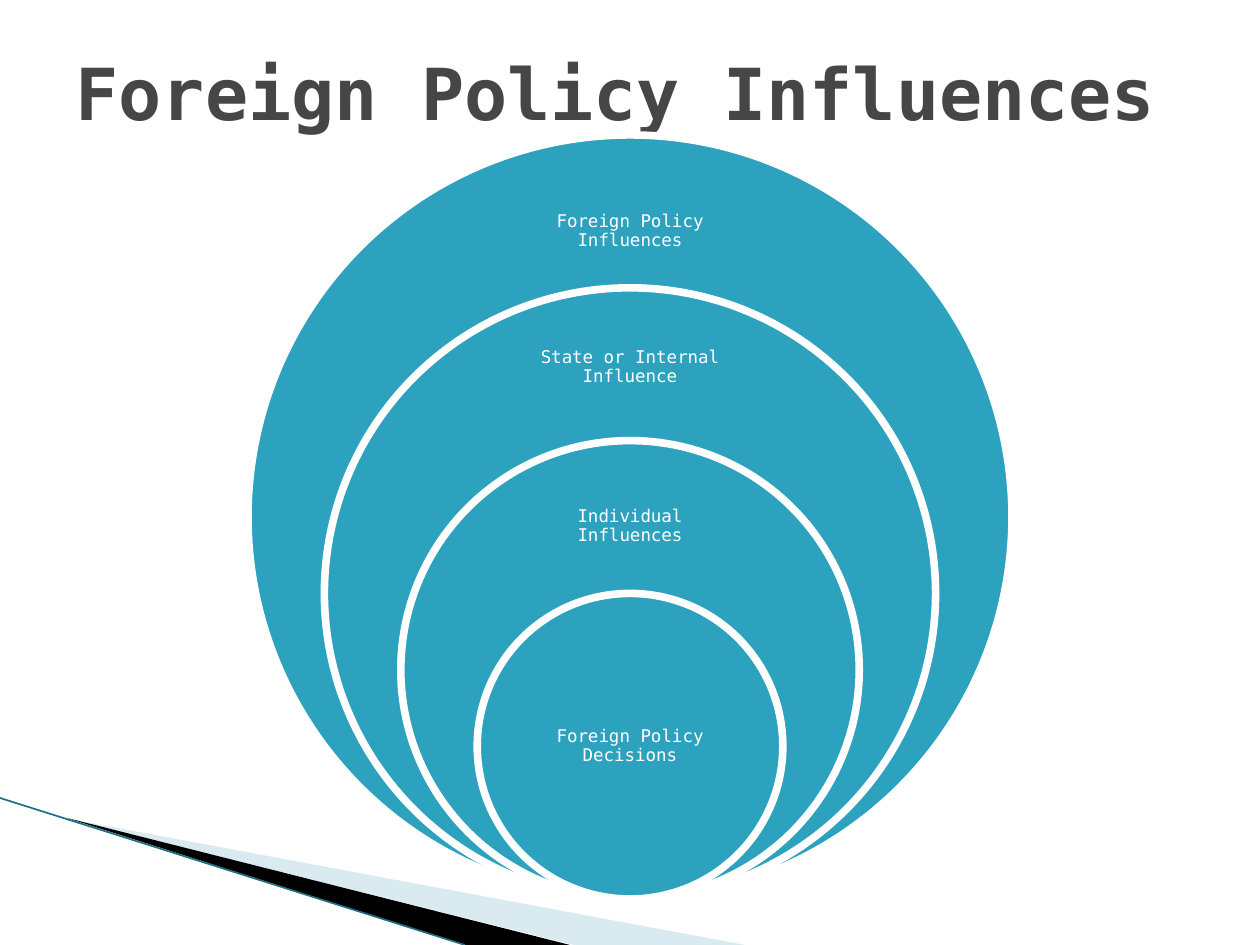
from lxml.etree import SubElement
from pptx import Presentation
from pptx.dml.color import RGBColor
from pptx.enum.shapes import MSO_CONNECTOR, MSO_SHAPE
from pptx.enum.text import MSO_ANCHOR, MSO_AUTO_SIZE, PP_ALIGN
from pptx.oxml.ns import qn
from pptx.util import Pt

# Content
TITLE = "Foreign Policy Influences"
RINGS = [  # label, vertical centre of label (px), outermost first
    ("Foreign Policy Influences", 231),
    ("State or Internal Influence", 367),
    ("Individual Influences", 526),
    ("Foreign Policy Decisions", 746),
]
WEDGES = [  # colour name, opacity in percent, corners (px)
    ("pale", 40, [(69, 819), (745, 945), (574, 945)]),
    ("black", 100, [(67, 818), (570, 945), (465, 945)]),
]
EDGE = (0, 798, 465, 945)

# Style
COLORS = {"ring": "2DA2BF", "white": "FFFFFF", "title": "464646",
          "pale": "A0CBDC", "black": "000000", "edge": "1F7085"}
FONT = "DejaVu Sans Mono"

# Layout, in px
SLIDE_W, SLIDE_H = 1260, 945
CENTRE_X, RINGS_BOTTOM, OUTER = SLIDE_W // 2, 899, 764
LABEL_W, LABEL_H, LABEL_INSET = 214, 110, 10
EMU_PER_PX = 914400 / 126


def px(*lengths):
    return [round(length * EMU_PER_PX) for length in lengths]


def color(name):
    return RGBColor.from_string(COLORS[name])


def style_text(paragraph, size, color_name, align, bold=False):
    paragraph.alignment = align
    font = paragraph.font
    font.name, font.size, font.bold = FONT, Pt(size), bold
    font.color.rgb = color(color_name)


def add_wedge(slide, color_name, opacity, corners):
    builder = slide.shapes.build_freeform(*corners[0], scale=EMU_PER_PX)
    builder.add_line_segments(corners[1:], close=True)
    wedge = builder.convert_to_shape()
    wedge.shadow.inherit = False
    wedge.fill.solid()
    wedge.fill.fore_color.rgb = color(color_name)
    wedge.line.fill.background()
    if opacity < 100:
        rgb = wedge.fill._xPr.find(".//" + qn("a:srgbClr"))
        SubElement(rgb, qn("a:alpha"), val=str(opacity * 1000))


def add_edge(slide):
    edge = slide.shapes.add_connector(MSO_CONNECTOR.STRAIGHT, *px(*EDGE))
    edge.line.color.rgb = color("edge")
    edge.line.width = Pt(0.95)
    SubElement(edge._element.spPr, qn("a:effectLst"))


def add_ring(slide, diameter):
    left, top = CENTRE_X - diameter / 2, RINGS_BOTTOM - diameter
    ring = slide.shapes.add_shape(
        MSO_SHAPE.OVAL, *px(left, top, diameter, diameter))
    ring.shadow.inherit = False
    ring.fill.solid()
    ring.fill.fore_color.rgb = color("ring")
    ring.line.color.rgb = color("white")
    ring.line.width = Pt(4.33)


def add_label(slide, text, centre_y):
    label = slide.shapes.add_textbox(*px(
        CENTRE_X - LABEL_W / 2, centre_y - LABEL_H / 2, LABEL_W, LABEL_H))
    frame = label.text_frame
    frame.word_wrap = True
    frame.vertical_anchor = MSO_ANCHOR.MIDDLE
    (frame.margin_left, frame.margin_top,
     frame.margin_right, frame.margin_bottom) = px(*[LABEL_INSET] * 4)
    frame.text = text
    paragraph = frame.paragraphs[0]
    style_text(paragraph, 10, "white", PP_ALIGN.CENTER)
    paragraph.line_spacing = 0.9


def main():
    prs = Presentation()
    prs.slide_width, prs.slide_height = px(SLIDE_W, SLIDE_H)
    slide = prs.slides.add_slide(prs.slide_layouts[5])

    # Corner decoration
    for wedge in WEDGES:
        add_wedge(slide, *wedge)
    add_edge(slide)

    # Title
    title = slide.shapes.title
    title.left, title.top, title.width, title.height = px(63, 38, 1134, 107)
    frame = title.text_frame
    frame.text = TITLE
    frame.auto_size = MSO_AUTO_SIZE.NONE
    frame.vertical_anchor = MSO_ANCHOR.MIDDLE
    style_text(frame.paragraphs[0], 41, "title", PP_ALIGN.LEFT, bold=True)

    # Nested rings sharing one bottom point, each a fifth smaller
    for i, (text, centre_y) in enumerate(RINGS):
        add_ring(slide, OUTER * (5 - i) / 5)
        add_label(slide, text, centre_y)

    prs.save("out.pptx")


if __name__ == "__main__":
    main()
